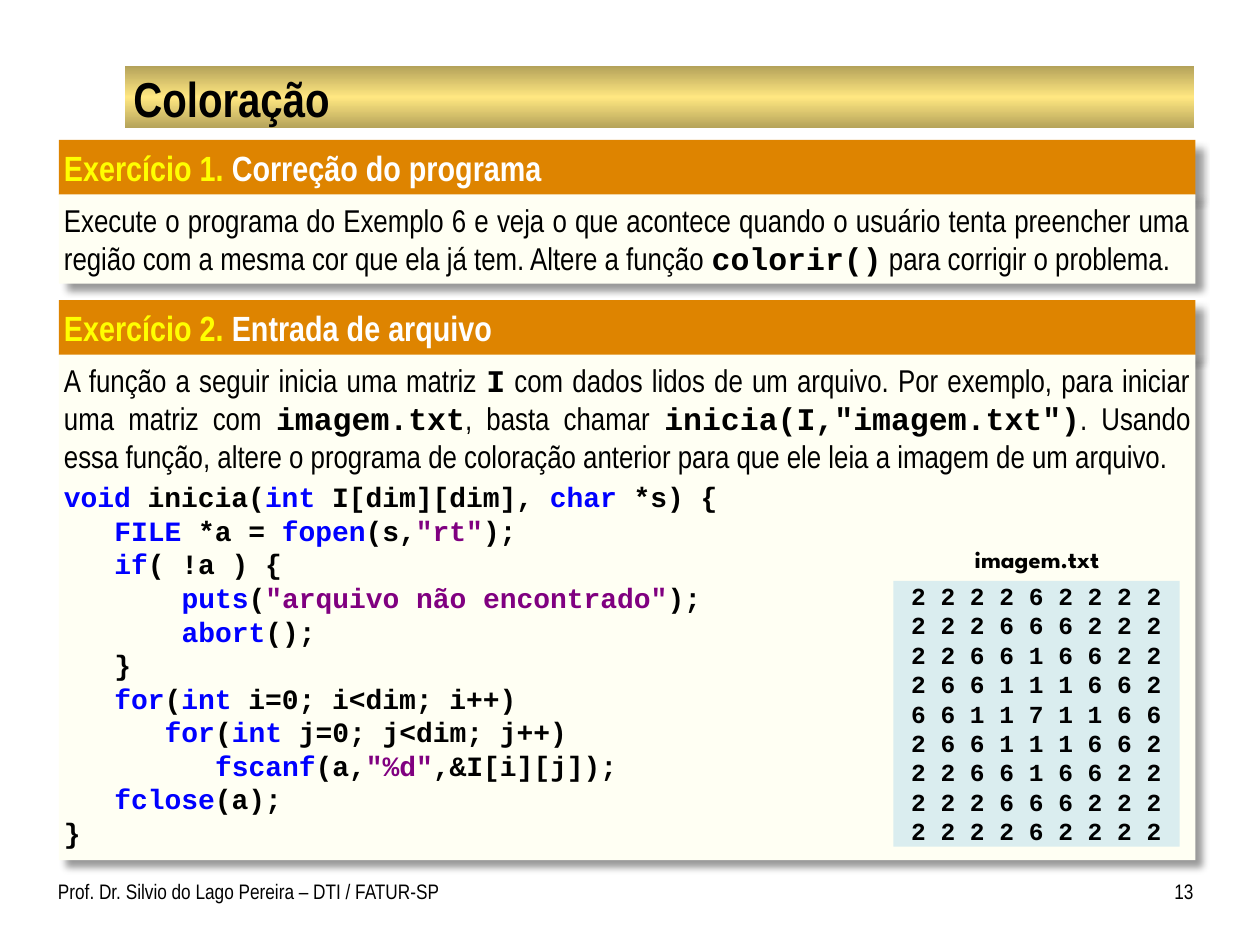
"""Build the slide with two colouring exercises, a code listing and a sample data file."""
from copy import deepcopy

from lxml import etree
from pptx import Presentation
from pptx import util as u
from pptx.dml.color import RGBColor
from pptx.enum import shapes, text
from pptx.oxml.ns import qn

BLACK = RGBColor(0x00, 0x00, 0x00)
WHITE = RGBColor(0xFF, 0xFF, 0xFF)
YELLOW = RGBColor(0xFF, 0xFF, 0x00)
ORANGE = RGBColor(0xDE, 0x84, 0x00)
CREAM = RGBColor(0xFF, 0xFF, 0xF3)
BLUE = RGBColor(0x00, 0x00, 0xFF)
PURPLE = RGBColor(0x80, 0x00, 0x80)
PALE_BLUE = RGBColor(0xDA, 0xED, 0xEF)
GOLD = RGBColor(0xB4, 0xA2, 0x5A)
LIGHT_GOLD = RGBColor(0xFF, 0xE7, 0x81)
PROSE, MONO, LABEL = "Arial Narrow", "Courier New", "League Spartan"
Cm = u.Cm


def write(paragraph, words, size, font=PROSE, color=BLACK, bold=False):
    run = paragraph.add_run()
    run.text = words
    run.font.size, run.font.name, run.font.bold = u.Pt(size), font, bold
    run.font.color.rgb = color


def set_frame(shape, left, top, right, bottom, anchor=text.MSO_ANCHOR.TOP):
    frame = shape.text_frame
    frame.word_wrap, frame.auto_size = True, text.MSO_AUTO_SIZE.NONE
    frame.margin_left, frame.margin_top = Cm(left), Cm(top)
    frame.margin_right, frame.margin_bottom = Cm(right), Cm(bottom)
    frame.vertical_anchor = anchor
    return frame


prs = Presentation()
prs.slide_width, prs.slide_height = Cm(25.4), Cm(19.05)
slide = prs.slides.add_slide(prs.slide_layouts[5])
RECT = shapes.MSO_SHAPE.RECTANGLE
ALIGN = text.PP_ALIGN

band = slide.shapes.add_shape(RECT, Cm(2.52), Cm(1.33), Cm(21.56), Cm(1.26))
band.shadow.inherit = False
band.line.fill.background()
band.fill.gradient()
band.fill.gradient_angle = 270
for stop, color in zip(band.fill.gradient_stops, (GOLD, LIGHT_GOLD)):
    stop.color.rgb = color
band.fill.gradient_stops[1].position = 0.5
stops = band.fill._fill._gradFill.find(qn("a:gsLst"))
last_stop = deepcopy(stops[0])
last_stop.set("pos", "100000")
stops.append(last_stop)

title = slide.shapes.title
slide.shapes._spTree.append(title._element)
title.left, title.top, title.width, title.height = Cm(2.54), Cm(1.37), Cm(21.51), Cm(1.19)
heading = set_frame(title, 0.15, 0.03, 0.15, 0.03, text.MSO_ANCHOR.MIDDLE).paragraphs[0]
heading.alignment = ALIGN.LEFT
write(heading, "Coloração", 28, bold=True)

footers = [
    (1.17, 9.5, 0, 0.25, ALIGN.LEFT, "Prof. Dr. Silvio do Lago Pereira – DTI / FATUR-SP"),
    (23.06, 1, 0.25, 0, ALIGN.RIGHT, "13"),
]
for left, width, inset_left, inset_right, align, words in footers:
    footer = slide.shapes.add_textbox(Cm(left), Cm(17.58), Cm(width), Cm(1.07))
    line = set_frame(footer, inset_left, 0.13, inset_right, 0.13).paragraphs[0]
    line.alignment = align
    write(line, words, 12)

exercises = [
    (2.82, 1.8, "Exercício 1.", " Correção do programa",
     "Execute o programa do Exemplo 6 e veja o que acontece quando o usuário tenta preencher "
     "uma região com a mesma cor que ela já tem. Altere a função ~colorir()~ para corrigir o "
     "problema."),
    (6.05, 10.19, "Exercício 2.", " Entrada de arquivo",
     "A função a seguir inicia uma matriz ~I~ com dados lidos de um arquivo. Por exemplo, para "
     'iniciar uma matriz com ~imagem.txt~, basta chamar ~inicia(I,"imagem.txt")~. Usando essa '
     "função, altere o programa de coloração anterior para que ele leia a imagem de um arquivo."),
]
for top, body_height, number, topic, statement in exercises:
    panel = slide.shapes.add_group_shape().shapes
    header = panel.add_shape(RECT, Cm(1.19), Cm(top), Cm(22.91), Cm(1.11))
    body = panel.add_shape(RECT, Cm(1.19), Cm(top + 1.1), Cm(22.91), Cm(body_height))
    for part, color in ((header, ORANGE), (body, CREAM)):
        part.fill.solid()
        part.fill.fore_color.rgb = color
        part.line.fill.background()
        part.shadow.inherit = False
        effects = part._element.spPr.find(qn("a:effectLst"))
        shadow = etree.SubElement(effects, qn("a:outerShdw"), blurRad="50800", dist="76200",
                                  dir="2700000", algn="tl", rotWithShape="0")
        shade = etree.SubElement(shadow, qn("a:srgbClr"), val="000000")
        etree.SubElement(shade, qn("a:alpha"), val="40000")
    line = set_frame(header, 0.1, 0.13, 0.25, 0.13).paragraphs[0]
    line.alignment = ALIGN.LEFT
    write(line, number, 20, color=YELLOW, bold=True)
    write(line, topic, 20, color=WHITE, bold=True)
    body_frame = set_frame(body, 0.1, 0.13, 0.1, 0.13)
    line = body_frame.paragraphs[0]
    line.alignment = ALIGN.JUSTIFY
    for index, words in enumerate(statement.split("~")):
        is_code = index % 2 == 1
        write(line, words, 18, MONO if is_code else PROSE, bold=is_code)

KEYWORDS = {"void", "int", "char", "FILE", "fopen", "if", "puts", "abort", "for", "fscanf", "fclose"}
listing = [
    (0, "void~ inicia(~int~ I[dim][dim], ~char~ *s) {"),
    (3, 'FILE~ *a = ~fopen~(s,~"rt"~);'),
    (3, "if~( !a ) {"),
    (7, 'puts~(~"arquivo não encontrado"~);'),
    (7, "abort~();"),
    (3, "}"),
    (3, "for~(~int~ i=0; i<dim; i++)"),
    (6, "for~(~int~ j=0; j<dim; j++)"),
    (9, 'fscanf~(a,~"%d"~,&I[i][j]);'),
    (3, "fclose~(a);"),
    (0, "}"),
]
CODE_COLUMN = u.Pt(9.6)
for row, (indent, code) in enumerate(listing):
    line = body_frame.add_paragraph()
    line.alignment = ALIGN.LEFT
    line.space_before = u.Pt(0 if row else 3)
    line._p.get_or_add_pPr().set("marL", str(indent * CODE_COLUMN))
    for token in code.split("~"):
        color = BLUE if token in KEYWORDS else PURPLE if token.startswith('"') else BLACK
        write(line, token, 16, MONO, color, True)

matrix = panel.add_shape(RECT, Cm(18.01), Cm(11.71), Cm(5.77), Cm(5.36))
matrix.shadow.inherit = False
matrix.line.fill.background()
matrix.fill.solid()
matrix.fill.fore_color.rgb = PALE_BLUE
matrix_frame = set_frame(matrix, 0, 0, 0, 0)
upper_rows = ["222262222", "222666222", "226616622", "266111662"]
for row, digits in enumerate(upper_rows + ["661171166"] + upper_rows[::-1]):
    line = matrix_frame.add_paragraph() if row else matrix_frame.paragraphs[0]
    line.alignment = ALIGN.CENTER
    write(line, " ".join(digits), 14, MONO, bold=True)

file_label = panel.add_textbox(Cm(19.1), Cm(10.97), Cm(3.61), Cm(0.61))
line = set_frame(file_label, 0, 0, 0, 0).paragraphs[0]
line.alignment = ALIGN.CENTER
write(line, "imagem.txt", 14, LABEL, bold=True)

prs.save("out.pptx")
